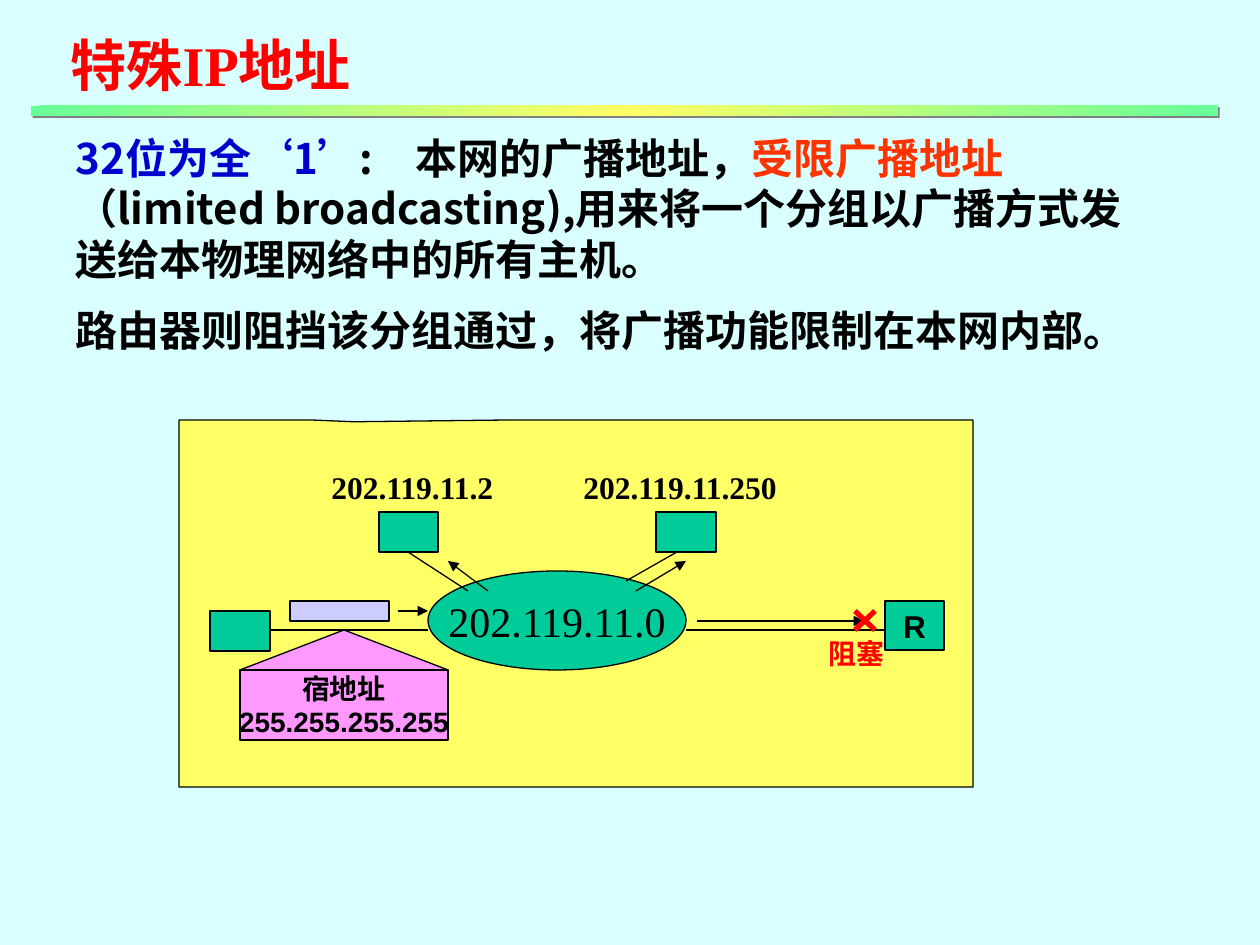
import pptx
import pptx.util
import pptx.dml.color
import pptx.enum.shapes
import pptx.enum.text
import pptx.oxml.ns
from lxml import etree

PX = 914400 / 126
COLORS = {
    "background": "D9FFFF", "black": "000000", "red": "FF0000", "blue": "0000CC",
    "orange": "FF3300", "mint": "66FF99", "yellow": "FFFF66", "green": "00CC99",
    "lilac": "CCCCFF", "pink": "FF99FF", "gray": "808080",
}
RGB = {name: pptx.dml.color.RGBColor.from_string(value) for name, value in COLORS.items()}
SHAPE = pptx.enum.shapes.MSO_SHAPE
ALIGN = pptx.enum.text.PP_ALIGN
ANCHOR = pptx.enum.text.MSO_ANCHOR
qn = pptx.oxml.ns.qn


def px(*lengths):
    return [round(length * PX) for length in lengths]


def write(frame, text, font, size, color="black", bold=True, align=ALIGN.LEFT, anchor=ANCHOR.TOP):
    frame.word_wrap = False
    frame.auto_size = pptx.enum.text.MSO_AUTO_SIZE.NONE
    frame.vertical_anchor = anchor
    frame.text = text
    for para in frame.paragraphs:
        para.alignment = align
        para.font.name = font
        para.font.size = pptx.util.Pt(size)
        para.font.bold = bold
        para.font.color.rgb = RGB[color]


deck = pptx.Presentation()
deck.slide_width, deck.slide_height = px(1260, 945)
slide = deck.slides.add_slide(deck.slide_layouts[1])
slide.background.fill.solid()
slide.background.fill.fore_color.rgb = RGB["background"]

title = slide.shapes.title
title.left, title.top, title.width, title.height = px(58, 24, 333, 81)
write(title.text_frame, "特殊IP地址", "Times New Roman", 32, "red")

body = slide.placeholders[1]
body.left, body.top, body.width, body.height = px(63, 126, 1092, 236)
body.text_frame.auto_size = pptx.enum.text.MSO_AUTO_SIZE.NONE
paragraphs = [
    [("32位为全‘1’", "blue"), (":　本网的广播地址，", "black"), ("受限广播地址", "orange"),
     ("（limited broadcasting),用来将一个分组以广播方式发送给本物理网络中的所有主机。", "black")],
    [("路由器则阻挡该分组通过，将广播功能限制在本网内部。", "black")],
]
for number, spans in enumerate(paragraphs):
    para = body.text_frame.add_paragraph() if number else body.text_frame.paragraphs[0]
    properties = para._p.get_or_add_pPr()
    properties.set("marL", "0")
    properties.set("indent", "0")
    etree.SubElement(properties, qn("a:buNone"))
    para.line_spacing = pptx.util.Pt(28.8)
    para.space_before = pptx.util.Pt(12 if number else 0)
    para.font.name = "Noto Sans CJK SC"
    para.font.size = pptx.util.Pt(24)
    para.font.bold = True
    for text, color in spans:
        span = para.add_run()
        span.text = text
        span.font.color.rgb = RGB[color]

bar = slide.shapes.add_shape(SHAPE.RECTANGLE, *px(31, 106, 1187, 10))
bar.line.fill.background()
bar.fill.gradient()
bar.fill.gradient_angle = 135
stops = bar._element.spPr.find(".//" + qn("a:gsLst"))
for stop in list(stops):
    stops.remove(stop)
for position, color in [(0, "mint"), (50000, "yellow"), (100000, "mint")]:
    stop = etree.SubElement(stops, qn("a:gs"), pos=str(position))
    etree.SubElement(stop, qn("a:srgbClr"), val=COLORS[color])
bar.shadow.inherit = False
effects = bar._element.spPr.find(qn("a:effectLst"))
shadow = etree.SubElement(effects, qn("a:outerShdw"), blurRad="0", dist="17780", dir="2700000")
etree.SubElement(shadow, qn("a:srgbClr"), val=COLORS["gray"])

boxes = {}
for name, kind, place, color in [
    ("network area", SHAPE.RECTANGULAR_CALLOUT, (179, 420, 794, 367), "yellow"),
    ("network", SHAPE.OVAL, (428, 571, 258, 99), "green"),
    ("host 2", SHAPE.RECTANGLE, (379, 512, 59, 40), "green"),
    ("host 250", SHAPE.RECTANGLE, (656, 512, 60, 40), "green"),
    ("sender", SHAPE.RECTANGLE, (210, 611, 60, 40), "green"),
    ("router", SHAPE.RECTANGLE, (885, 601, 59, 49), "green"),
    ("packet", SHAPE.RECTANGLE, (290, 601, 99, 20), "lilac"),
    ("pointer", SHAPE.FLOWCHART_EXTRACT, (240, 630, 208, 40), "pink"),
    ("destination", SHAPE.RECTANGLE, (240, 670, 208, 70), "pink"),
]:
    box = slide.shapes.add_shape(kind, *px(*place))
    box.shadow.inherit = False
    box.fill.solid()
    box.fill.fore_color.rgb = RGB[color]
    box.line.color.rgb = RGB["black"]
    box.line.width = pptx.util.Pt(0.75)
    boxes[name] = box
boxes["network area"].adjustments[0] = -0.28
boxes["network area"].adjustments[1] = -0.495

for name, text, font, size, bold in [
    ("network", "202.119.11.0", "Times New Roman", 24, False),
    ("router", "R", "Arial", 18, True),
    ("destination", "宿地址\n255.255.255.255", "Arial", 16, True),
]:
    write(boxes[name].text_frame, text, font, size, bold=bold, align=ALIGN.CENTER, anchor=ANCHOR.MIDDLE)

for text, place, font, size, color in [
    ("202.119.11.2", (319, 462, 190, 50), "Times New Roman", 18, "black"),
    ("202.119.11.250", (571, 462, 222, 50), "Times New Roman", 18, "black"),
    ("阻塞", (816, 630, 81, 47), "Arial", 16, "red"),
]:
    label = slide.shapes.add_textbox(*px(*place))
    write(label.text_frame, text, font, size, color)

for ends, color, width, arrow in [
    ((408, 552, 468, 591), "black", 0.75, False),
    ((626, 581, 677, 552), "black", 0.75, False),
    ((686, 630, 884, 630), "black", 0.75, False),
    ((270, 630, 428, 630), "black", 0.75, False),
    ((398, 611, 428, 611), "black", 0.75, True),
    ((636, 591, 686, 561), "black", 0.75, True),
    ((488, 591, 448, 561), "black", 0.75, True),
    ((697, 621, 864, 621), "black", 0.75, True),
    ((875, 611, 855, 630), "red", 3, False),
    ((855, 611, 875, 630), "red", 3, False),
]:
    link = slide.shapes.add_connector(pptx.enum.shapes.MSO_CONNECTOR.STRAIGHT, *px(*ends))
    link.line.color.rgb = RGB[color]
    link.line.width = pptx.util.Pt(width)
    if arrow:
        etree.SubElement(link.line._get_or_add_ln(), qn("a:tailEnd"), type="triangle")
    etree.SubElement(link._element.spPr, qn("a:effectLst"))

deck.save("out.pptx")
